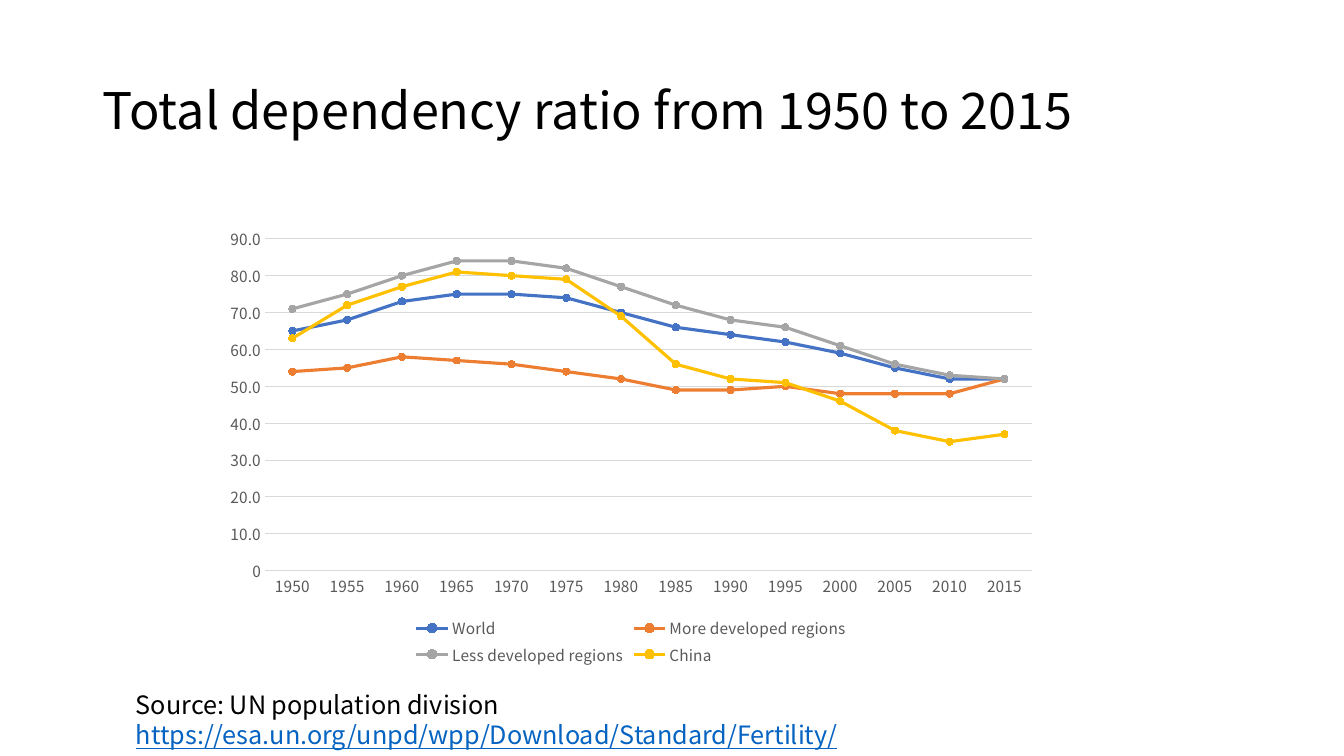
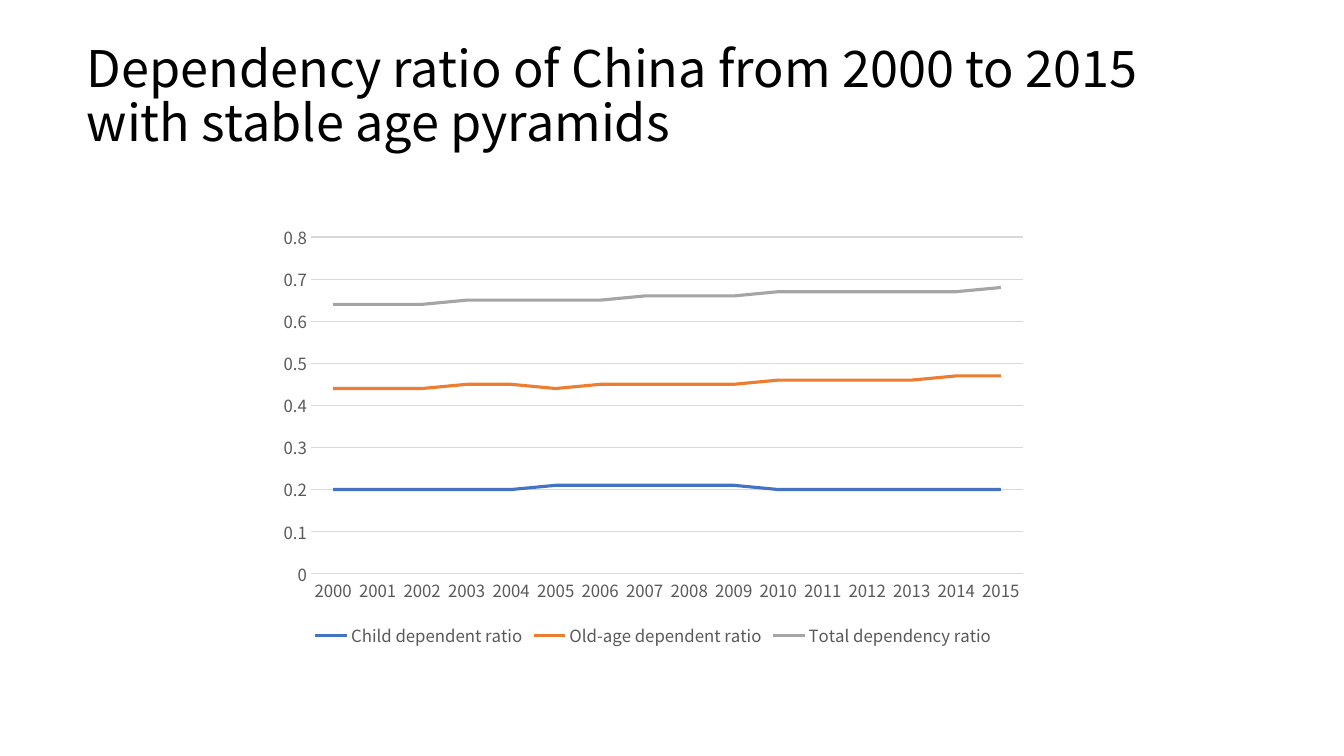
import pptx
import pptx.util
import pptx.chart.data
import pptx.dml.color
import pptx.enum.chart
import pptx.enum.text

Inches, Pt = pptx.util.Inches, pptx.util.Pt
RGBColor = pptx.dml.color.RGBColor

# Shared style
FONT = "Noto Sans CJK SC"
BLACK = RGBColor(0x00, 0x00, 0x00)
GREY = RGBColor(0x59, 0x59, 0x59)
GRID = RGBColor(0xD9, 0xD9, 0xD9)
LINK = RGBColor(0x05, 0x63, 0xC1)
SERIES_COLORS = [
    RGBColor(0x44, 0x72, 0xC4),
    RGBColor(0xED, 0x7D, 0x31),
    RGBColor(0xA5, 0xA5, 0xA5),
    RGBColor(0xFF, 0xC0, 0x00),
]

# Chart data
REGIONS = {
    "World": [65, 68, 73, 75, 75, 74, 70, 66, 64, 62, 59, 55, 52, 52],
    "More developed regions": [54, 55, 58, 57, 56, 54, 52, 49, 49, 50, 48, 48, 48, 52],
    "Less developed regions": [71, 75, 80, 84, 84, 82, 77, 72, 68, 66, 61, 56, 53, 52],
    "China": [63, 72, 77, 81, 80, 79, 69, 56, 52, 51, 46, 38, 35, 37],
}
CHINA = {
    "Child dependent ratio": [0.2] * 5 + [0.21] * 5 + [0.2] * 6,
    "Old-age dependent ratio": [0.44, 0.44, 0.44, 0.45, 0.45, 0.44, 0.45, 0.45,
                                0.45, 0.45, 0.46, 0.46, 0.46, 0.46, 0.47, 0.47],
    "Total dependency ratio": [0.64, 0.64, 0.64, 0.65, 0.65, 0.65, 0.65, 0.66,
                               0.66, 0.66, 0.67, 0.67, 0.67, 0.67, 0.67, 0.68],
}


def set_font(font, size, color):
    font.name = FONT
    font.size = Pt(size)
    font.color.rgb = color


def add_run(p, text, size, color):
    r = p.add_run()
    r.text = text
    set_font(r.font, size, color)
    return r


def place_title(slide, text, box):
    sp = slide.shapes.title
    sp.left, sp.top, sp.width, sp.height = map(Inches, box)
    tf = sp.text_frame
    tf.word_wrap = True
    tf.auto_size = pptx.enum.text.MSO_AUTO_SIZE.NONE
    tf.vertical_anchor = pptx.enum.text.MSO_ANCHOR.MIDDLE
    p = tf.paragraphs[0]
    p.alignment = pptx.enum.text.PP_ALIGN.LEFT
    p.line_spacing = 0.9
    add_run(p, text, 36, BLACK)


def add_line_chart(slide, box, years, series, size, top, step, fmt, markers):
    data = pptx.chart.data.CategoryChartData()
    data.categories = [str(y) for y in years]
    for name, values in series.items():
        data.add_series(name, values)
    types = pptx.enum.chart.XL_CHART_TYPE
    kind = types.LINE_MARKERS if markers else types.LINE
    chart = slide.shapes.add_chart(kind, *map(Inches, box), data).chart
    chart.has_title = False
    set_font(chart.font, 10, BLACK)

    # Axes
    for axis in (chart.category_axis, chart.value_axis):
        axis.major_tick_mark = pptx.enum.chart.XL_TICK_MARK.NONE
        axis.minor_tick_mark = pptx.enum.chart.XL_TICK_MARK.NONE
        set_font(axis.tick_labels.font, size, GREY)
    value_axis = chart.value_axis
    value_axis.minimum_scale, value_axis.maximum_scale = 0, top
    value_axis.major_unit = step
    value_axis.tick_labels.number_format = fmt
    value_axis.tick_labels.number_format_is_linked = False
    value_axis.format.line.fill.background()
    for line in (chart.category_axis.format.line,
                 value_axis.major_gridlines.format.line):
        line.color.rgb = GRID
        line.width = Pt(0.75)

    # Legend
    chart.has_legend = True
    chart.legend.position = pptx.enum.chart.XL_LEGEND_POSITION.BOTTOM
    chart.legend.include_in_layout = False
    set_font(chart.legend.font, size, GREY)

    # Series
    plot = chart.plots[0]
    plot.vary_by_categories = False
    for s, color in zip(plot.series, SERIES_COLORS):
        s.smooth = False
        s.format.line.color.rgb = color
        s.format.line.width = Pt(2.25)
        if markers:
            s.marker.style = pptx.enum.chart.XL_MARKER_STYLE.CIRCLE
            s.marker.size = 5
            s.marker.format.fill.solid()
            s.marker.format.fill.fore_color.rgb = color
            s.marker.format.line.color.rgb = color


def add_source(slide, box, label, address):
    tf = slide.shapes.add_textbox(*map(Inches, box)).text_frame
    tf.word_wrap = True
    p = tf.paragraphs[0]
    add_run(p, label, 18, BLACK)
    add_run(p, address, 18, LINK).font.underline = True


def add_chart_slide(prs, title, title_box, **chart):
    slide = prs.slides.add_slide(prs.slide_layouts[5])
    place_title(slide, title, title_box)
    add_line_chart(slide, **chart)
    return slide


def main():
    prs = pptx.Presentation()
    prs.slide_width, prs.slide_height = Inches(13.33), Inches(7.5)

    # World regions
    slide = add_chart_slide(
        prs, "Total dependency ratio from 1950 to 2015", (0.92, 0.4, 11.5, 1.45),
        box=(2.12, 2.17, 8.28, 4.47), years=range(1950, 2016, 5), series=REGIONS,
        size=11, top=90, step=10, fmt="##0.0;\\-##0.0;0", markers=True)
    add_source(slide, (1.25, 6.79, 10.02, 0.71), "Source: UN population division ",
               "https://esa.un.org/unpd/wpp/Download/Standard/Fertility/")

    # China
    add_chart_slide(
        prs, "Dependency ratio of China from 2000 to 2015 with stable age pyramids",
        (0.76, 0.25, 11.65, 1.45),
        box=(2.66, 2.14, 7.64, 4.33), years=range(2000, 2016), series=CHINA,
        size=12, top=0.8, step=0.1, fmt="General", markers=False)

    prs.save("out.pptx")


if __name__ == "__main__":
    main()
